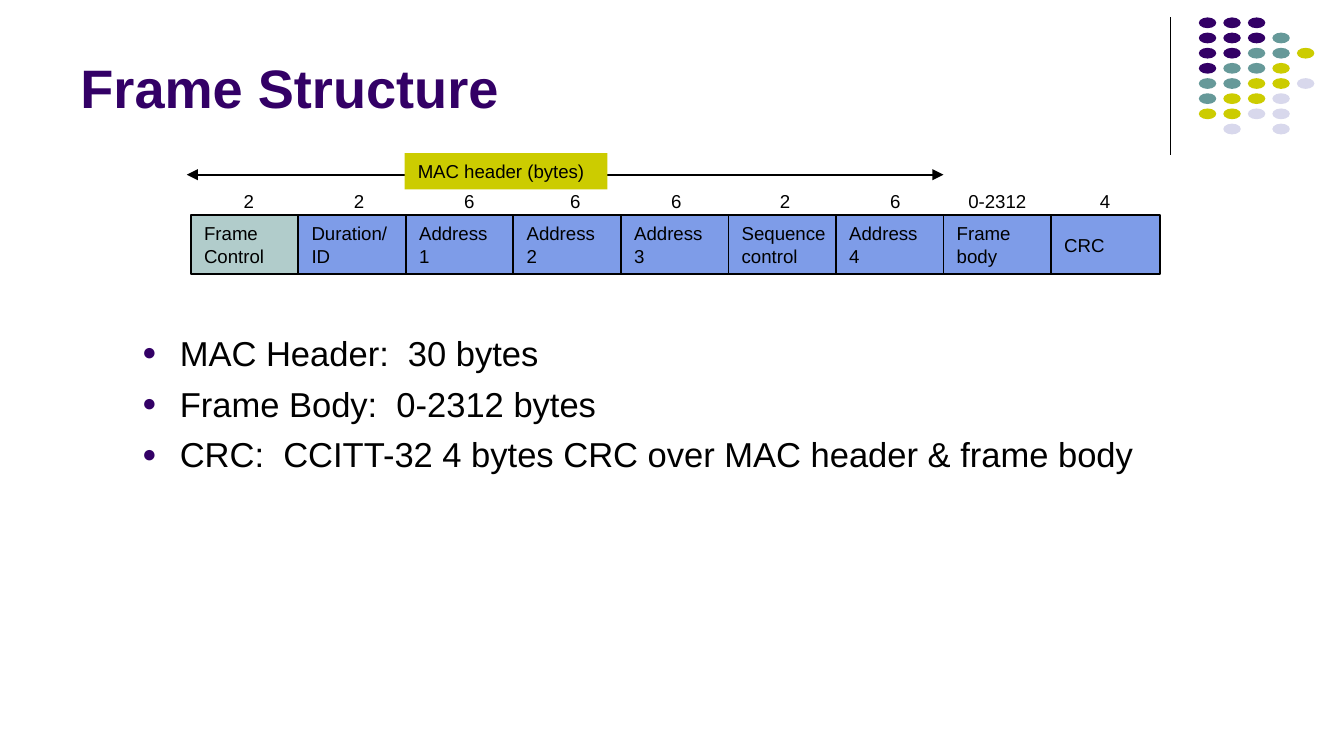
from lxml import etree
from pptx import Presentation
from pptx.dml.color import RGBColor
from pptx.enum import shapes, text
from pptx.oxml import ns
from pptx.util import Inches, Pt

COLORS = {
    "purple": "330066", "teal": "669999", "lime": "CCCC00", "mist": "D8D8EC",
    "sage": "B1CCCB", "blue": "7E9CE8", "black": "000000",
}
FONT = "Arial"
TITLE = "Frame Structure"
HEADER_LABEL = "MAC header (bytes)"
FIELDS = [
    (["Frame", "Control"], "sage", "2", 1.85),
    (["Duration/", "ID"], "blue", "2", 2.67),
    (["Address", "1"], "blue", "6", 3.49),
    (["Address", "2"], "blue", "6", 4.28),
    (["Address", "3"], "blue", "6", 5.03),
    (["Sequence", "control"], "blue", "2", 5.84),
    (["Address", "4"], "blue", "6", 6.66),
    (["Frame", "body"], "blue", "0-2312", 7.42),
    (["CRC"], "blue", "4", 8.22),
]
BULLETS = [
    "MAC Header:  30 bytes",
    "Frame Body:  0-2312 bytes",
    "CRC:  CCITT-32 4 bytes CRC over MAC header & frame body",
]
DOT_ROWS = ["PPP", "PPPT", "PPTTL", "PTTL", "TTLLM", "TLLM", "LLMM", " M M"]
DOT_COLORS = {"P": "purple", "T": "teal", "L": "lime", "M": "mist"}


def rgb(name):
    return RGBColor.from_string(COLORS[name])


def add_child(parent, tag, **attributes):
    return etree.SubElement(parent, ns.qn(tag), attributes)


def add_bullet(paragraph):
    properties = paragraph._p.get_or_add_pPr()
    properties.set("marL", str(Inches(0.28)))
    properties.set("indent", str(-Inches(0.28)))
    color = add_child(properties, "a:buClr")
    add_child(color, "a:srgbClr", val=COLORS["purple"])
    add_child(properties, "a:buSzPct", val="70000")
    add_child(properties, "a:buFont", typeface=FONT)
    add_child(properties, "a:buChar", char="●")


def write(shape, lines, size=10, color="black", bold=False, wrap=False,
          anchor=text.MSO_ANCHOR.MIDDLE, align=text.PP_ALIGN.LEFT,
          bullets=False, gap=0):
    frame = shape.text_frame
    frame.word_wrap = wrap
    frame.vertical_anchor = anchor
    for index, line in enumerate(lines):
        paragraph = frame.add_paragraph() if index else frame.paragraphs[0]
        paragraph.alignment = align
        if index and gap:
            paragraph.space_before = Pt(gap)
        if bullets:
            add_bullet(paragraph)
        run = paragraph.add_run()
        run.text = line
        run.font.name = FONT
        run.font.size = Pt(size)
        run.font.bold = bold
        run.font.color.rgb = rgb(color)


def add_box(slide, kind, left, top, width, height, fill, outlined=False):
    shape = slide.shapes.add_shape(
        kind, Inches(left), Inches(top), Inches(width), Inches(height))
    shape.shadow.inherit = False
    shape.fill.solid()
    shape.fill.fore_color.rgb = rgb(fill)
    if outlined:
        shape.line.color.rgb = rgb("black")
        shape.line.width = Pt(1)
    else:
        shape.line.fill.background()
    return shape


def add_text(slide, left, top, width, height, lines, **style):
    box = slide.shapes.add_textbox(
        Inches(left), Inches(top), Inches(width), Inches(height))
    write(box, lines, **style)


def add_line(slide, start, end, width, arrow=False):
    line = slide.shapes.add_connector(
        shapes.MSO_CONNECTOR.STRAIGHT, *map(Inches, start + end))
    line.line.color.rgb = rgb("black")
    line.line.width = Pt(width)
    if arrow:
        add_child(line.line._get_or_add_ln(), "a:tailEnd", type="triangle")
    add_child(line._element.spPr, "a:effectLst")


def add_dots(slide):
    column_step, row_step = 0.73 / 4, 0.79 / 7
    for row, pattern in enumerate(DOT_ROWS):
        for column, key in enumerate(pattern):
            if key in DOT_COLORS:
                add_box(slide, shapes.MSO_SHAPE.OVAL,
                        8.92 + column * column_step, 0.13 + row * row_step,
                        0.13, 0.08, DOT_COLORS[key])


def add_frame_diagram(slide):
    for index, (lines, fill, size, center) in enumerate(FIELDS):
        field = add_box(slide, shapes.MSO_SHAPE.RECTANGLE,
                        1.42 + index * 0.8, 1.6, 0.81, 0.44, fill, True)
        write(field, lines)
        width = 0.27 if len(size) == 1 else 0.63
        add_text(slide, center - width / 2, 1.36, width, 0.27, [size],
                 align=text.PP_ALIGN.CENTER)
    add_line(slide, (3.2, 1.3), (1.39, 1.3), 1, arrow=True)
    add_line(slide, (4.27, 1.3), (7.02, 1.3), 1, arrow=True)
    label = add_box(slide, shapes.MSO_SHAPE.RECTANGLE, 3.01, 1.14, 1.51, 0.27, "lime")
    write(label, [HEADER_LABEL])


def main():
    presentation = Presentation()
    presentation.slide_width = Inches(10)
    presentation.slide_height = Inches(10) * 9 // 16
    slide = presentation.slides.add_slide(presentation.slide_layouts[6])
    add_line(slide, (8.71, 0.13), (8.71, 1.15), 0.75)
    add_dots(slide)
    add_frame_diagram(slide)
    add_text(slide, 0.5, 0.1, 8.25, 0.84, [TITLE], size=29, color="purple",
             bold=True, wrap=True, anchor=text.MSO_ANCHOR.BOTTOM)
    add_text(slide, 0.96, 2.42, 8.16, 1.5, BULLETS, size=18.5, wrap=True,
             anchor=text.MSO_ANCHOR.TOP, bullets=True, gap=5)
    presentation.save("out.pptx")


if __name__ == "__main__":
    main()
